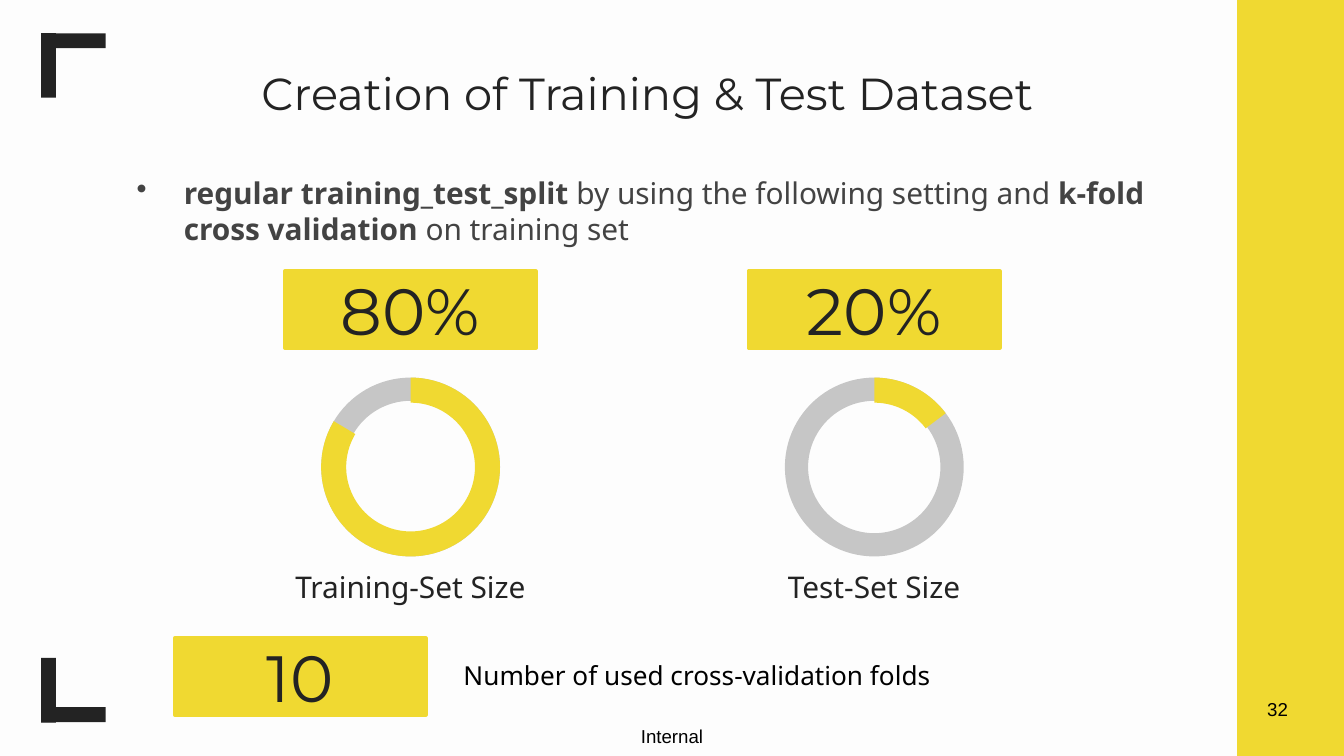
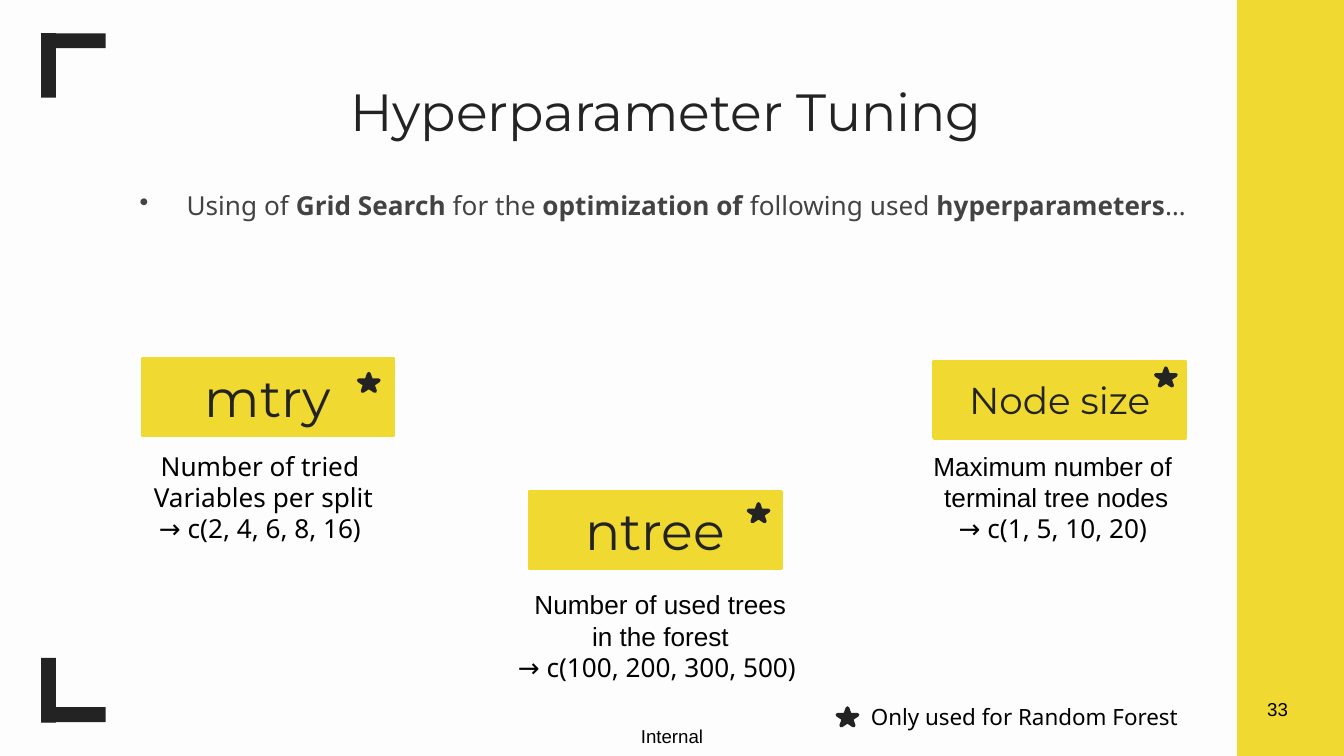
import pptx
import pptx.dml.color
import pptx.enum.shapes
import pptx.enum.text
import pptx.oxml
import pptx.oxml.ns
import pptx.util
from lxml import etree

Pt = pptx.util.Pt
RGB = pptx.dml.color.RGBColor
SHAPE = pptx.enum.shapes.MSO_SHAPE
ALIGN = pptx.enum.text.PP_ALIGN
ANCHOR = pptx.enum.text.MSO_ANCHOR
qn = pptx.oxml.ns.qn

PAPER = RGB(0xFD, 0xFD, 0xFD)
INK = RGB(0x23, 0x23, 0x23)
YELLOW = RGB(0xF0, 0xD9, 0x31)
GREY = RGB(0x43, 0x43, 0x43)
BLACK = RGB(0, 0, 0)
HEAD_FONT, BODY_FONT, PLAIN_FONT = "Montserrat", "Noto Sans", "Arial"

# Content: boxes are (left, top, width, height) in points; *stars* mark bold
SPLIT = {
    "number": "32",
    "title": ("Creation of Training & Test Dataset", 24, (25.9, 28.1, 641.5, 45.4)),
    "bullet": ("*regular training_test_split *by using the following setting and "
               "*k-fold cross validation *on training set", 16, (55.4, 86.4, 594.7, 64.8)),
}
# Share, caption, start of the arc
SETS = [("80%", "Training-Set Size", 35.5), ("20%", "Test-Set Size", 184.2)]
SET_LEFT, SET_PITCH = 152.6, 248.4
FOLDS = ("10", (93.6, 342), "Number of used cross-validation folds", (241.2, 349.9, 282.2, 24.5))

TUNING = {
    "number": "33",
    "title": ("Hyperparameter Tuning ", 28, (56.9, 35.3, 607, 45.4)),
    "bullet": ("Using of *Grid Search *for the *optimization of *following used "
               "*hyperparameters*…", 14, (56.9, 94.3, 588.2, 49.7)),
}
# Name, size, tag corner, star corner, description, its font, its box
PARAMETERS = [
    ("mtry", 28, (76.3, 192.2), (192.2, 200.2),
     ["Number of tried ", "Variables per split", "→ c(2, 4, 6, 8, 16) "],
     BODY_FONT, (70.6, 237.6, 141.1, 74.9)),
    ("ntree", 28, (283.7, 263.5), (401, 270),
     ["Number of used trees", "in the forest", "→ c(100, 200, 300, 500) "],
     PLAIN_FONT, (264.2, 311.8, 179.3, 74.9)),
    ("Node size", 20, (500.4, 193.7), (619.2, 197.3),
     ["Maximum number of ", "terminal tree nodes", "→ c(1, 5, 10, 20) "],
     PLAIN_FONT, (492.5, 237.6, 146.9, 74.9)),
]
LEGEND = ("Only used for Random Forest", (448.6, 379.4), (459.4, 373, 190, 21.6))


def write(frame, text, size=14, font=BODY_FONT, color=BLACK, align=ALIGN.LEFT,
          anchor=ANCHOR.TOP, inset=None, wrap=True, bullet=False):
    """Fill a text frame; each line is a paragraph, *stars* enclose bold text."""
    frame.word_wrap = wrap
    frame.vertical_anchor = anchor
    if inset is not None:
        frame.margin_left = frame.margin_right = Pt(inset)
        frame.margin_top = frame.margin_bottom = Pt(inset)
    for index, line in enumerate(text.split("\n")):
        para = frame.add_paragraph() if index else frame.paragraphs[0]
        para.alignment = align
        if bullet:
            props = para._p.get_or_add_pPr()
            props.set("marL", str(Pt(36)))
            props.set("indent", str(-Pt(25.2)))
            tint = etree.SubElement(props, qn("a:buClr"))
            etree.SubElement(tint, qn("a:srgbClr")).set("val", str(color))
            etree.SubElement(props, qn("a:buChar")).set("char", "•")
        for order, part in enumerate(line.split("*")):
            if part:
                span = para.add_run()
                span.text = part
                span.font.size = Pt(size)
                span.font.name = BODY_FONT if part.startswith("→") else font
                span.font.bold = order % 2 == 1
                span.font.color.rgb = color


def add_text(page, box, text, **style):
    frame = page.shapes.add_textbox(*map(Pt, box)).text_frame
    write(frame, text, **style)


def add_shape(page, kind, box, fill, outlined=False, adjust=()):
    shape = page.shapes.add_shape(kind, *map(Pt, box))
    shape.shadow.inherit = False
    for index, value in enumerate(adjust):
        shape.adjustments[index] = value
    shape.fill.solid()
    shape.fill.fore_color.rgb = fill
    if outlined:
        shape.line.color.rgb = fill
        shape.line.width = Pt(2)
        etree.SubElement(shape.line._get_or_add_ln(), qn("a:round"))
    else:
        shape.line.fill.background()
    return shape


def add_tag(page, corner, text, size):
    tag = add_shape(page, SHAPE.RECTANGLE, (*corner, 134.6, 41), YELLOW, outlined=True)
    write(tag.text_frame, text, size=size, font=HEAD_FONT, color=INK,
          align=ALIGN.CENTER, anchor=ANCHOR.MIDDLE)


def add_star(page, corner):
    add_shape(page, SHAPE.STAR_5_POINT, (*corner, 10.8, 9.4), INK, outlined=True)


def add_ring(page, left, top, start):
    box = (left, top, 95.8, 95.8)
    ring = add_shape(page, SHAPE.DONUT, box, INK, adjust=[0.13])
    tint = ring.fill._xPr.find(qn("a:solidFill"))[0]
    etree.SubElement(tint, qn("a:alpha")).set("val", "25000")
    arc = add_shape(page, SHAPE.BLOCK_ARC, box, YELLOW, adjust=[start, 215.98, 0.14])
    arc.rotation = 90
    arc._element.spPr.find(qn("a:xfrm")).set("flipH", "1")


def add_page(deck, content):
    """Start a page with the shared frame, title, bullet and number."""
    page = deck.slides.add_slide(deck.slide_layouts[6])
    page.background.fill.solid()
    page.background.fill.fore_color.rgb = PAPER
    add_text(page, (343.4, 388.1, 36, 12.2), "Internal", size=10, font=PLAIN_FONT,
             inset=0, wrap=False)
    # Corner brackets and side band
    for upright_top, bar_top in [(352.5, 378.9), (17.7, 17.9)]:
        add_shape(page, SHAPE.RECTANGLE, (22, upright_top, 8, 34.6), INK)
        add_shape(page, SHAPE.RECTANGLE, (22, bar_top, 34.6, 8), INK)
    add_shape(page, SHAPE.RECTANGLE, (662.7, 0, 57.3, 405), YELLOW)
    # Title, bullet, page number
    text, size, box = content["title"]
    add_text(page, box, text, size=size, font=HEAD_FONT, color=INK,
             align=ALIGN.CENTER, inset=7.2)
    text, size, box = content["bullet"]
    add_text(page, box, text, size=size, color=GREY, inset=7.2, bullet=True)
    add_text(page, (671.8, 370.1, 25.9, 19.4), content["number"], size=10,
             font=PLAIN_FONT, wrap=False)
    return page


def build_split(deck):
    page = add_page(deck, SPLIT)
    for index, (share, caption, start) in enumerate(SETS):
        left = SET_LEFT + index * SET_PITCH
        add_ring(page, left + 19.5, 202.3, start)
        add_text(page, (left - 9.7, 293.4, 154, 41.8), caption, size=16, color=INK,
                 align=ALIGN.CENTER, anchor=ANCHOR.MIDDLE, inset=7.2)
        add_tag(page, (left, 145.4), share, 35)
    count, corner, note, box = FOLDS
    add_tag(page, corner, count, 35)
    add_text(page, box, note, wrap=False)


def build_tuning(deck):
    page = add_page(deck, TUNING)
    for name, size, corner, star, lines, font, box in PARAMETERS:
        add_tag(page, corner, name, size)
        add_star(page, star)
        add_text(page, box, "\n".join(lines), font=font, align=ALIGN.CENTER, wrap=False)
    text, star, box = LEGEND
    add_star(page, star)
    add_text(page, box, text, size=12, wrap=False)


def main():
    deck = pptx.Presentation()
    deck.slide_width, deck.slide_height = Pt(720), Pt(405)
    build_split(deck)
    build_tuning(deck)
    deck.save("out.pptx")


if __name__ == "__main__":
    main()
